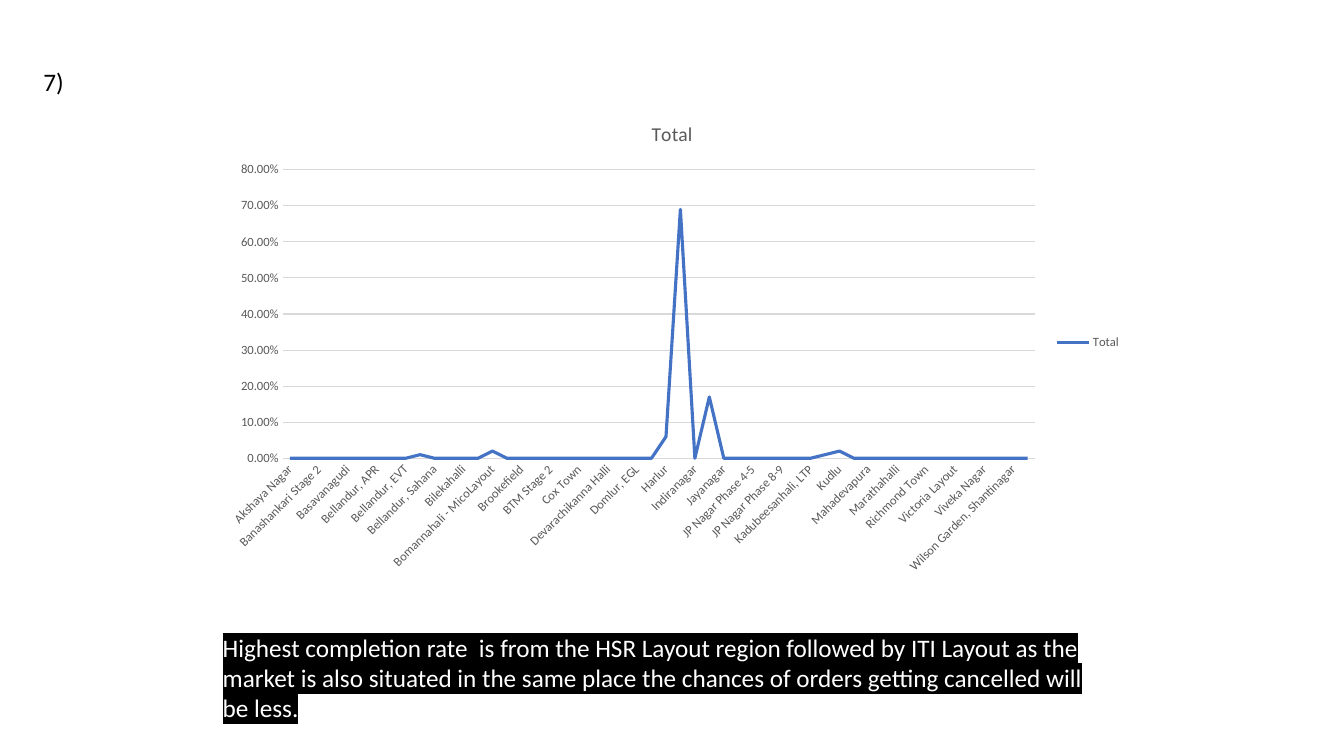
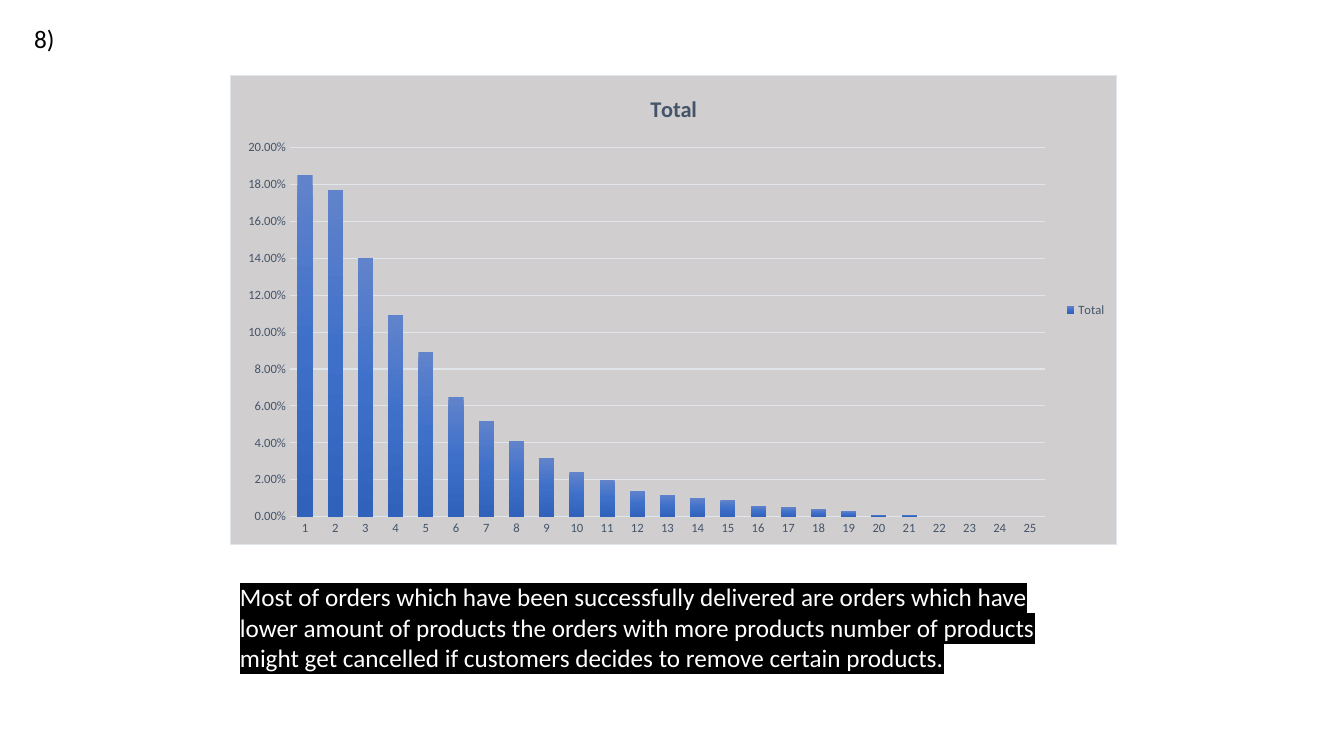
from dataclasses import dataclass

from lxml import etree
from pptx import Presentation
from pptx.chart.data import CategoryChartData
from pptx.dml.color import RGBColor
from pptx.enum import chart as charts
from pptx.oxml import ns
from pptx.util import Pt


@dataclass(frozen=True)
class Theme:
    font: str = "Calibri"
    ink: str = "000000"
    paper: str = "FFFFFF"
    accent: str = "4472C4"
    body_size: float = 18
    label_size: float = 9
    hairline: float = 0.75
    trend_width: float = 2.25
    bar_stops: tuple = ((0, "6183CB"), (50, "3E70CA"), (100, "3062BB"))


@dataclass(frozen=True)
class ChartStyle:
    text: str
    rule: str
    title_size: float
    title_bold: bool
    top_value: float
    step: float
    panel: str = ""


THEME = Theme()
PLAIN = ChartStyle("595959", "D9D9D9", 14, False, 0.8, 0.1)
PANEL = ChartStyle("44546A", "E0E5EB", 16, True, 0.2, 0.02, "D0CECE")
AUTO_ROTATION = "-60000000"

REGIONS = [
    "Akshaya Nagar", "Arekere", "Banashankari Stage 2", "Bannerghatta",
    "Basavanagudi", "Bellandur - Off Sarjapur Road", "Bellandur, APR",
    "Bellandur, Worksite", "Bellandur, EVT", "Bellandur, Green Glen",
    "Bellandur, Sahana", "Bellandur, Sarjapur Road", "Bilekahalli", "Binnipet",
    "Bomannahali - MicoLayout", "Bommanahalli", "Brookefield", "BTM Stage 1",
    "BTM Stage 2", "Challagatta", "Cox Town", "CV Raman Nagar",
    "Devarachikanna Halli", "Doddanekundi", "Domlur, EGL", "Frazer Town",
    "Harlur", "HSR Layout", "Indiranagar", "ITI Layout", "Jayanagar",
    "JP Nagar Phase 1-3", "JP Nagar Phase 4-5", "JP Nagar Phase 6-7",
    "JP Nagar Phase 8-9", "Kadubeesanhali, Landmark", "Kadubeesanhali, LTP",
    "Koramangala, Ejipura", "Kudlu", "Kumaraswamy Layout", "Mahadevapura",
    "Meadow County", "Marathahalli", "Pattandur", "Richmond Town",
    "Sarjapur Road", "Victoria Layout", "Vimanapura", "Viveka Nagar",
    "Whitefield", "Wilson Garden, Shantinagar", "Yemalur",
]
REGION_SHARES = {
    "Bellandur, Green Glen": 0.01, "Bomannahali - MicoLayout": 0.02,
    "Harlur": 0.06, "HSR Layout": 0.69, "ITI Layout": 0.17,
    "Koramangala, Ejipura": 0.01, "Kudlu": 0.02,
}
PRODUCT_SHARES = [
    0.185, 0.177, 0.14, 0.109, 0.089, 0.065, 0.052, 0.041, 0.032, 0.024, 0.02,
    0.014, 0.012, 0.01, 0.009, 0.006, 0.005, 0.004, 0.003, 0.001, 0.001,
    0, 0, 0, 0,
]


def set_font(font, size, color, bold=False):
    for key, value in {"name": THEME.font, "size": Pt(size), "bold": bold}.items():
        setattr(font, key, value)
    font.color.rgb = RGBColor.from_string(color)


def set_line(line, color, width):
    line.color.rgb = RGBColor.from_string(color)
    line.width = Pt(width)


def add_color(parent, color):
    solid = etree.SubElement(parent, ns.qn("a:solidFill"))
    etree.SubElement(solid, ns.qn("a:srgbClr"), val=color)


def add_text(slide, box, words, color, highlight=None):
    frame = slide.shapes.add_textbox(*map(Pt, box)).text_frame
    frame.word_wrap = True
    run = frame.paragraphs[0].add_run()
    run.text = words
    set_font(run.font, THEME.body_size, color)
    if highlight:
        fill = run.font._element.find(ns.qn("a:solidFill"))
        mark = etree.Element(ns.qn("a:highlight"))
        etree.SubElement(mark, ns.qn("a:srgbClr"), val=highlight)
        fill.addnext(mark)


def style_axes(chart, style):
    for axis in (chart.category_axis, chart.value_axis):
        axis.major_tick_mark = axis.minor_tick_mark = charts.XL_TICK_MARK.NONE
        set_font(axis.tick_labels.font, THEME.label_size, style.text)
    set_line(chart.category_axis.format.line, style.rule, THEME.hairline)

    shares = chart.value_axis
    scale = {"minimum_scale": 0, "maximum_scale": style.top_value,
             "major_unit": style.step, "has_major_gridlines": True}
    for key, value in scale.items():
        setattr(shares, key, value)
    shares.format.line.fill.background()
    set_line(shares.major_gridlines.format.line, style.rule, THEME.hairline)
    shares.tick_labels.number_format = "0.00%"
    shares.tick_labels.number_format_is_linked = False


def fill_panel(chart, style):
    """Give the whole chart area a fill and a border."""
    area = etree.Element(ns.qn("c:spPr"))
    add_color(area, style.panel)
    border = etree.SubElement(area, ns.qn("a:ln"), w=str(Pt(THEME.hairline)))
    add_color(border, style.rule)
    chart._chartSpace.find(ns.qn("c:chart")).addnext(area)


def add_share_chart(slide, box, kind, names, shares, style):
    data = CategoryChartData(number_format="0.00%")
    data.categories = names
    data.add_series("Total", shares)
    chart = slide.shapes.add_chart(kind, *map(Pt, box), data).chart
    set_font(chart.font, 10, THEME.ink)

    chart.has_title = True
    heading = chart.chart_title.text_frame.paragraphs[0].add_run()
    heading.text = "Total"
    set_font(heading.font, style.title_size, style.text, style.title_bold)

    chart.has_legend = True
    chart.legend.position = charts.XL_LEGEND_POSITION.RIGHT
    chart.legend.include_in_layout = False
    set_font(chart.legend.font, THEME.label_size, style.text)

    style_axes(chart, style)
    chart.plots[0].vary_by_categories = False
    if style.panel:
        fill_panel(chart, style)
    return chart


def style_trend(chart):
    trend = chart.plots[0].series[0]
    trend.smooth = False
    trend.marker.style = charts.XL_MARKER_STYLE.NONE
    set_line(trend.format.line, THEME.accent, THEME.trend_width)
    labels = chart._chartSpace.find(".//" + ns.qn("c:catAx")).find(ns.qn("c:txPr"))
    labels.find(ns.qn("a:bodyPr")).set("rot", AUTO_ROTATION)


def style_bars(chart):
    plot = chart.plots[0]
    plot.gap_width, plot.overlap = 100, -24
    bars = plot.series[0]
    bars.invert_if_negative = False
    bars.format.fill.gradient()
    gradient = bars._element.find(".//" + ns.qn("a:gradFill"))
    stops = gradient.find(ns.qn("a:gsLst"))
    for stop in list(stops):
        stops.remove(stop)
    for percent, color in THEME.bar_stops:
        stop = etree.SubElement(stops, ns.qn("a:gs"), pos=str(percent * 1000))
        etree.SubElement(stop, ns.qn("a:srgbClr"), val=color)
    bars.format.fill.gradient_angle = 270


def add_finding(deck, number, number_box, finding, finding_box):
    """Add a slide with its question number and highlighted finding."""
    slide = deck.slides.add_slide(deck.slide_layouts[6])
    add_text(slide, number_box, number, THEME.ink)
    add_text(slide, finding_box, finding, THEME.paper, highlight=THEME.ink)
    return slide


def main():
    deck = Presentation()
    deck.slide_width, deck.slide_height = Pt(960), Pt(540)

    regions = add_finding(
        deck, "7)", (24, 44, 30, 29),
        "Highest completion rate  is from the HSR Layout region followed by ITI "
        "Layout as the market is also situated in the same place the chances of "
        "orders getting cancelled will be less.",
        (152, 447.8, 636.5, 73))
    style_trend(add_share_chart(
        regions, (152, 72.7, 656.2, 344), charts.XL_CHART_TYPE.LINE, REGIONS,
        [REGION_SHARES.get(region, 0) for region in REGIONS], PLAIN))

    products = add_finding(
        deck, "8)", (17.4, 13, 31, 29),
        "Most of orders which have been successfully delivered are orders which "
        "have lower amount of products the orders with more products number of "
        "products might get cancelled if customers decides to remove certain "
        "products.",
        (164.3, 412, 584, 73))
    counts = [str(count + 1) for count in range(len(PRODUCT_SHARES))]
    style_bars(add_share_chart(
        products, (164.3, 53.5, 633.8, 336), charts.XL_CHART_TYPE.COLUMN_CLUSTERED,
        counts, PRODUCT_SHARES, PANEL))

    deck.save("out.pptx")


if __name__ == "__main__":
    main()
